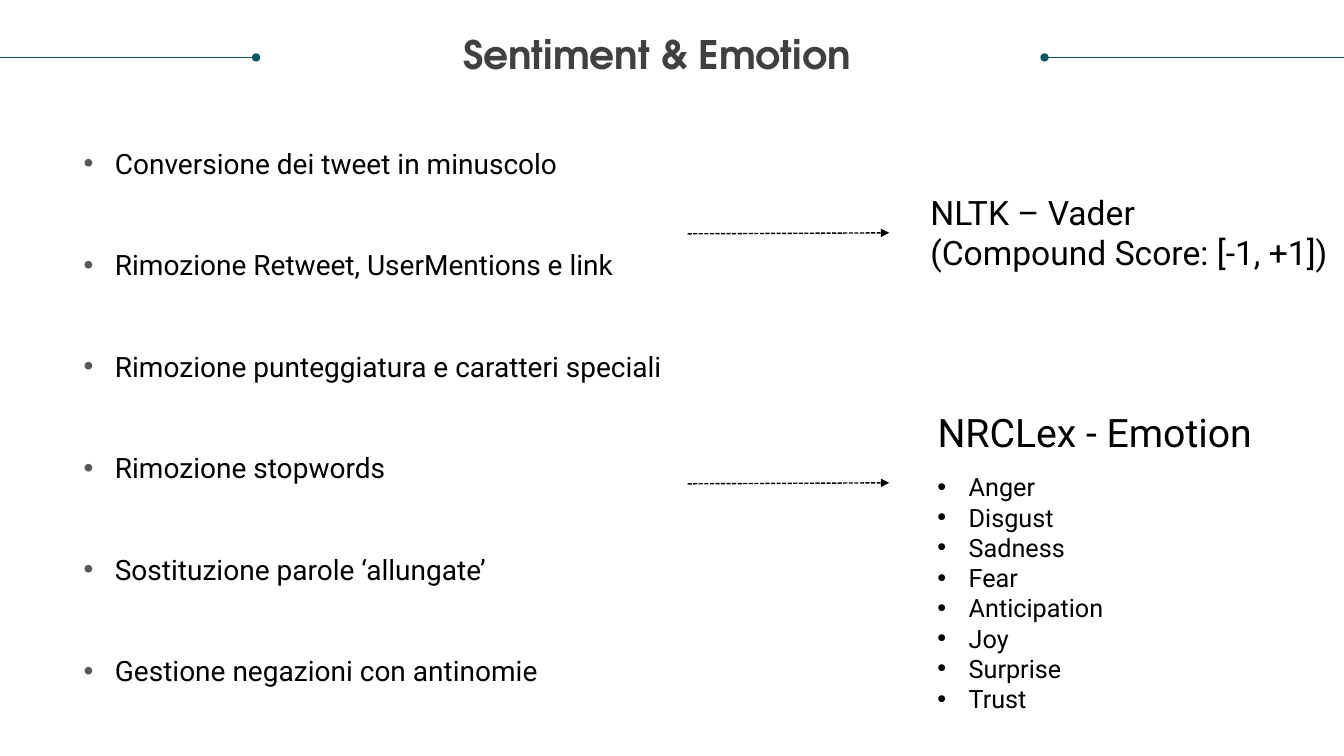
from lxml.etree import SubElement
from pptx import Presentation
from pptx.dml.color import RGBColor
from pptx.enum.dml import MSO_LINE_DASH_STYLE as DASH
from pptx.enum.shapes import MSO_CONNECTOR as CONNECTOR
from pptx.enum.text import MSO_ANCHOR as ANCHOR, PP_ALIGN as ALIGN
from pptx.oxml.ns import qn
from pptx.util import Inches, Pt

TITLE = "Sentiment & Emotion"
STEPS = [
    "Conversione dei tweet in minuscolo",
    "Rimozione Retweet, UserMentions e link",
    "Rimozione punteggiatura e caratteri speciali",
    "Rimozione stopwords",
    "Sostituzione parole ‘allungate’",
    "Gestione negazioni con antinomie",
]
VADER = ["NLTK – Vader", "(Compound Score: [-1, +1])"]
NRCLEX = ["NRCLex - Emotion"]
EMOTIONS = ["Anger", "Disgust", "Sadness", "Fear",
            "Anticipation", "Joy", "Surprise", "Trust"]

COLORS = {"title": "404040", "text": "000000", "bullet": "585858", "rule": "085764"}
WIDTH, HEIGHT = 13.33, 7.5
RULE_Y = 0.57
RULES = [(WIDTH, 10.36), (0, 2.54)]
ARROW_X = (6.82, 8.82)
ARROW_ROWS = [2.32, 4.8]
INDENT = 0.31


def rgb(name):
    return RGBColor.from_string(COLORS[name])


def add_bullet(p, color):
    pPr = p._p.get_or_add_pPr()
    pPr.set("marL", str(Inches(INDENT)))
    pPr.set("indent", str(-Inches(INDENT)))
    buClr = SubElement(pPr, qn("a:buClr"))
    SubElement(buClr, qn("a:srgbClr"), val=COLORS[color])
    SubElement(pPr, qn("a:buFont"), typeface="Arial")
    SubElement(pPr, qn("a:buChar"), char="•")


def write(sp, lines, size, font="Roboto", color="text", bold=False, align=ALIGN.LEFT,
          spacing=None, gap=0, bullet=None, inset=True):
    tf = sp.text_frame
    tf.word_wrap = True
    tf.vertical_anchor = ANCHOR.TOP
    if not inset:
        tf.margin_left = tf.margin_right = tf.margin_top = tf.margin_bottom = 0
    for i, line in enumerate(lines):
        p = tf.add_paragraph() if i else tf.paragraphs[0]
        p.alignment = align
        p.space_before = Pt(gap if i else 0)
        if spacing:
            p.line_spacing = spacing
        if bullet:
            add_bullet(p, bullet)
        r = p.add_run()
        r.text = line
        r.font.name, r.font.size, r.font.bold = font, Pt(size), bold
        r.font.color.rgb = rgb(color)


def add_text(slide, box, lines, size, **fmt):
    write(slide.shapes.add_textbox(*map(Inches, box)), lines, size, **fmt)


def add_line(slide, start, end, color, width, tip, dash=None):
    s = slide.shapes.add_connector(CONNECTOR.STRAIGHT, *map(Inches, start + end))
    s.line.color.rgb = rgb(color)
    s.line.width = Pt(width)
    if dash:
        s.line.dash_style = dash
    SubElement(s.line._get_or_add_ln(), qn("a:tailEnd"), type=tip)
    SubElement(s._element.spPr, qn("a:effectLst"))


def main():
    prs = Presentation()
    prs.slide_width, prs.slide_height = Inches(WIDTH), Inches(HEIGHT)
    slide = prs.slides.add_slide(prs.slide_layouts[5])

    title = slide.shapes.title
    title.left, title.top, title.width, title.height = map(Inches, (0.1, 0.35, 12.83, 0.42))
    write(title, [TITLE], 28, font="TeX Gyre Adventor", color="title", bold=True,
          align=ALIGN.CENTER, spacing=0.9, inset=False)

    for edge, dot in RULES:
        add_line(slide, (edge, RULE_Y), (dot, RULE_Y), "rule", 0.5, "oval")
    for y in ARROW_ROWS:
        add_line(slide, (ARROW_X[0], y), (ARROW_X[1], y - 0.01), "text", 1, "triangle",
                 dash=DASH.SQUARE_DOT)

    add_text(slide, (0.83, 1.45, 5.9, 5.79), STEPS, 20, gap=48.5, bullet="bullet", inset=False)
    add_text(slide, (9.13, 1.85, 4.2, 0.91), VADER, 24)
    add_text(slide, (9.2, 4, 3.81, 0.57), NRCLEX, 28)
    add_text(slide, (9.2, 4.63, 3, 2.52), EMOTIONS, 18, bullet="text")
    prs.save("out.pptx")


if __name__ == "__main__":
    main()
